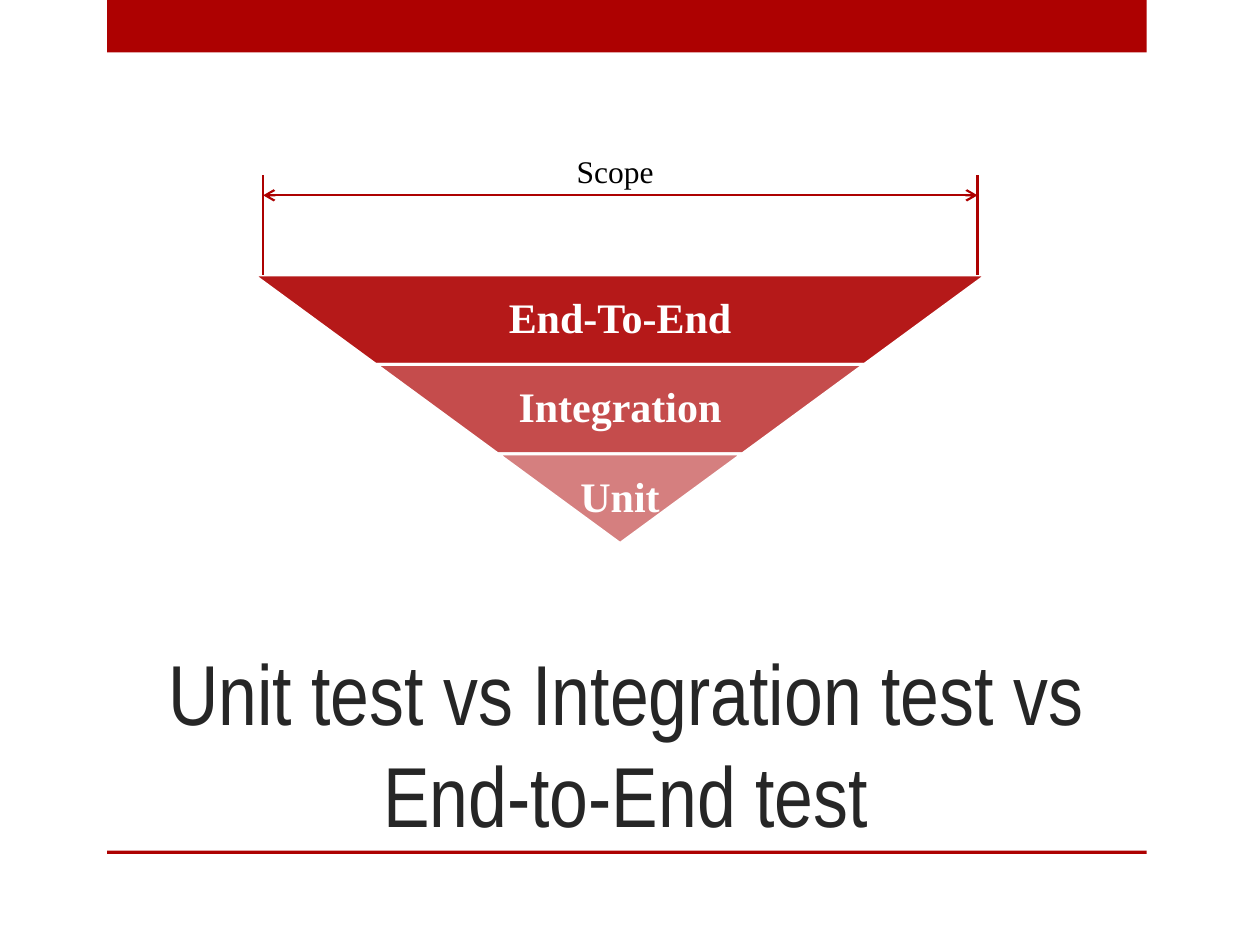
from lxml import etree
from pptx import Presentation
from pptx.dml.color import RGBColor
from pptx.enum.shapes import MSO_CONNECTOR, MSO_SHAPE
from pptx.enum.text import MSO_ANCHOR, MSO_AUTO_SIZE, PP_ALIGN
from pptx.oxml.ns import qn
from pptx.util import Pt

RECTANGLE = MSO_SHAPE.RECTANGLE
TRAPEZOID = MSO_SHAPE.TRAPEZOID
STRAIGHT = MSO_CONNECTOR.STRAIGHT
MIDDLE, BOTTOM = MSO_ANCHOR.MIDDLE, MSO_ANCHOR.BOTTOM
CENTER = PP_ALIGN.CENTER
NO_FIT = MSO_AUTO_SIZE.NONE

RED = RGBColor(0xAD, 0x01, 0x01)
WHITE = RGBColor(0xFF, 0xFF, 0xFF)
BLACK = RGBColor(0x00, 0x00, 0x00)
DARK = RGBColor(0x26, 0x26, 0x26)

HEADING_FONT = "Arial Narrow"
BODY_FONT = "Times New Roman"

CENTER_X = 354.3
FUNNEL_TOP = 157
BAND_HEIGHT = 51.2
BAND_INSET = 69.84
BANDS = [("End-To-End", 90), ("Integration", 70), ("Unit", 50)]

SCOPE_LEFT, SCOPE_RIGHT = 150.4, 558.6
SCOPE_TOP, SCOPE_Y = 100, 111.6


def set_font(p, name, size, color, bold=False):
    p.font.name = name
    p.font.size = Pt(size)
    p.font.color.rgb = color
    p.font.bold = bold


def add_filled(s, kind, left, top, width, height):
    sp = s.shapes.add_shape(kind, Pt(left), Pt(top), Pt(width), Pt(height))
    sp.shadow.inherit = False
    sp.fill.solid()
    sp.fill.fore_color.rgb = RED
    sp.line.fill.background()
    return sp


def add_title(s, text):
    sp = s.shapes.title
    sp.left, sp.top, sp.width, sp.height = Pt(60), Pt(360), Pt(595), Pt(126)
    tf = sp.text_frame
    tf.text = text
    tf.auto_size = NO_FIT
    tf.vertical_anchor = BOTTOM
    p = tf.paragraphs[0]
    p.alignment = CENTER
    set_font(p, HEADING_FONT, 48.6, DARK)


def add_label(s, text, left, top, width, height, size, color, bold=False):
    sp = s.shapes.add_textbox(Pt(left), Pt(top), Pt(width), Pt(height))
    tf = sp.text_frame
    tf.text = text
    tf.word_wrap = True
    tf.vertical_anchor = MIDDLE
    tf.margin_left = tf.margin_right = Pt(2)
    tf.margin_top = tf.margin_bottom = Pt(2)
    p = tf.paragraphs[0]
    p.alignment = CENTER
    set_font(p, BODY_FONT, size, color, bold)
    return p


def add_band(s, index, text, opacity):
    width = 2 * BAND_INSET * (len(BANDS) - index)
    left = CENTER_X - width / 2
    top = FUNNEL_TOP + index * BAND_HEIGHT
    sp = add_filled(s, TRAPEZOID, left, top, width, BAND_HEIGHT)
    sp.rotation = 180
    sp.adjustments[0] = BAND_INSET / BAND_HEIGHT
    sp.line.color.rgb = WHITE
    sp.line.width = Pt(1.75)
    color = sp.fill._xPr.find(qn("a:solidFill"))[0]
    etree.SubElement(color, qn("a:alpha"), val=str(opacity * 1000))
    p = add_label(s, text, left, top, width, BAND_HEIGHT, 24, WHITE, True)
    p.line_spacing = 0.9


def add_line(s, x1, y1, x2, y2, arrows=False):
    line = s.shapes.add_connector(STRAIGHT, Pt(x1), Pt(y1), Pt(x2), Pt(y2))
    line.line.color.rgb = RED
    line.line.width = Pt(1.25)
    if arrows:
        ln = line.line._get_or_add_ln()
        for end in ("a:headEnd", "a:tailEnd"):
            etree.SubElement(ln, qn(end), type="arrow")
    etree.SubElement(line._element.spPr, qn("a:effectLst"))


def main():
    prs = Presentation()
    prs.slide_width, prs.slide_height = Pt(720), Pt(540)
    s = prs.slides.add_slide(prs.slide_layouts[5])
    add_filled(s, RECTANGLE, 61.2, 0, 594, 30)
    add_filled(s, RECTANGLE, 61.2, 486, 594, 2)
    add_title(s, "Unit test vs Integration test vs End-to-End test")
    for index, (text, opacity) in enumerate(BANDS):
        add_band(s, index, text, opacity)
    for x in (SCOPE_LEFT, SCOPE_RIGHT):
        add_line(s, x, FUNNEL_TOP, x, SCOPE_TOP)
    add_line(s, SCOPE_LEFT, SCOPE_Y, SCOPE_RIGHT, SCOPE_Y, arrows=True)
    add_label(s, "Scope", 322, 83, 59, 29, 18, BLACK)
    prs.save("out.pptx")


if __name__ == "__main__":
    main()
